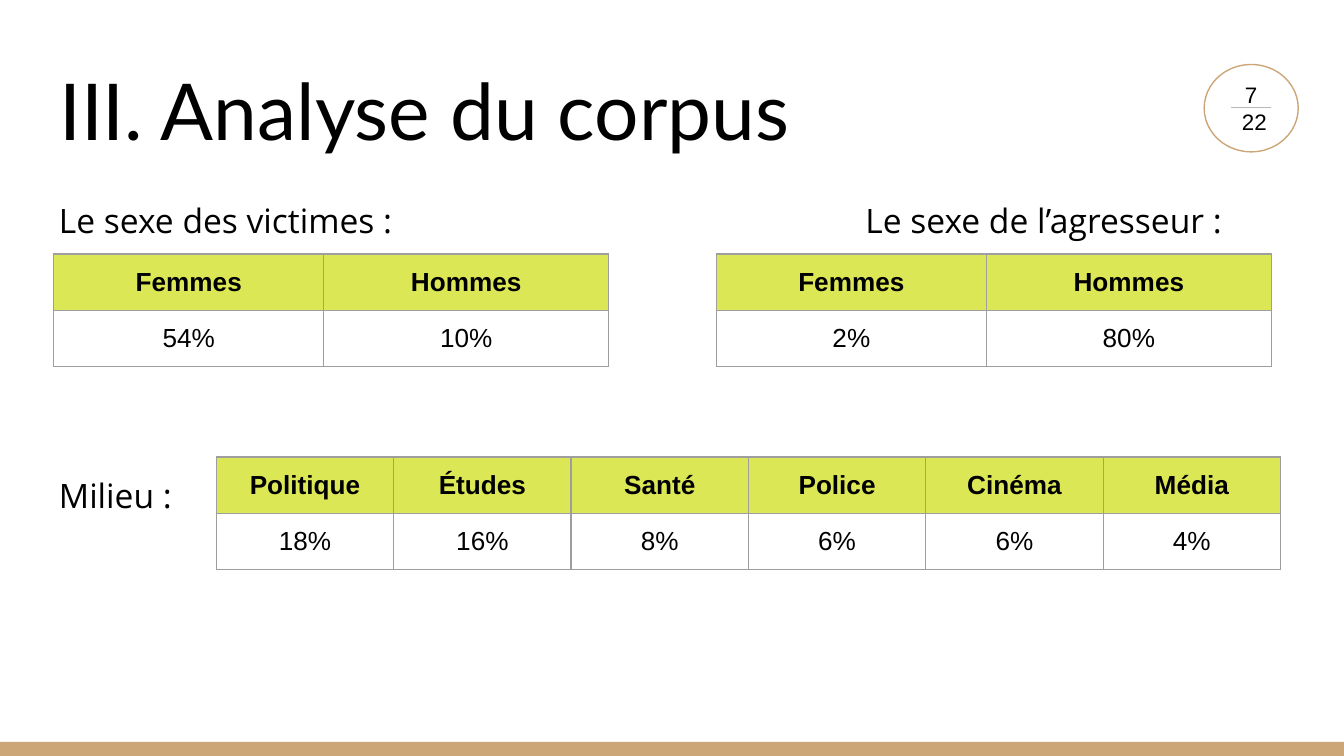
"""Build the corpus analysis slide with its three percentage tables."""
import pptx
import pptx.dml.color
import pptx.enum.shapes
import pptx.enum.text
import pptx.oxml
import pptx.oxml.ns
import pptx.util

Inches = pptx.util.Inches
Pt = pptx.util.Pt
RGBColor = pptx.dml.color.RGBColor
PP_ALIGN = pptx.enum.text.PP_ALIGN
MSO_ANCHOR = pptx.enum.text.MSO_ANCHOR
MSO_SHAPE = pptx.enum.shapes.MSO_SHAPE

BLACK = RGBColor(0x00, 0x00, 0x00)
TAN = RGBColor(0xCC, 0xA6, 0x77)
LIME = RGBColor(0xDC, 0xE7, 0x55)
RULE_GRAY = RGBColor(0xB7, 0xB7, 0xB7)
BORDER_GRAY = RGBColor(0x9E, 0x9E, 0x9E)

TITLE = "III. Analyse du corpus"
PAGE_LINES = ["7", " 22"]
LABELS = [
    ("Le sexe des victimes :", 0.34, 1.34, 3.5),
    ("Le sexe de l’agresseur :", 6.34, 1.34, 3.32),
    ("Milieu :", 0.34, 3.39, 1.25),
]
TABLES = [
    {"left": 0.4, "top": 1.89, "columns": [2.01, 2.12],
     "rows": [["Femmes", "Hommes"], ["54%", "10%"]]},
    {"left": 5.33, "top": 1.89, "columns": [2.01, 2.12],
     "rows": [["Femmes", "Hommes"], ["2%", "80%"]]},
    {"left": 1.61, "top": 3.4, "columns": [1.32] * 6,
     "rows": [["Politique", "Études", "Santé", "Police", "Cinéma", "Média"],
              ["18%", "16%", "8%", "6%", "6%", "4%"]]},
]
SLIDE_WIDTH = 10
ROW_HEIGHT = 0.42


def set_margins(holder, bottom=0.1):
    holder.margin_left = holder.margin_right = holder.margin_top = Inches(0.1)
    holder.margin_bottom = Inches(bottom)


def format_paragraph(paragraph, font_name, size, alignment, bold=False):
    paragraph.alignment = alignment
    paragraph.font.name = font_name
    paragraph.font.size = Pt(size)
    paragraph.font.bold = bold
    paragraph.font.color.rgb = BLACK


def add_borders(cell):
    properties = cell._tc.get_or_add_tcPr()
    for index, side in enumerate(("lnL", "lnR", "lnT", "lnB")):
        properties.insert(index, pptx.oxml.parse_xml(
            f'<a:{side} {pptx.oxml.ns.nsdecls("a")} w="{Pt(0.75)}"><a:solidFill>'
            f'<a:srgbClr val="{BORDER_GRAY}"/></a:solidFill></a:{side}>'))


def add_title(slide):
    title = slide.shapes.title
    title.left, title.top = Inches(0.34), Inches(0.35)
    title.width, title.height = Inches(9.32), Inches(0.91)
    frame = title.text_frame
    frame.text = TITLE
    frame.auto_size = pptx.enum.text.MSO_AUTO_SIZE.NONE
    frame.vertical_anchor = MSO_ANCHOR.BOTTOM
    set_margins(frame)
    format_paragraph(frame.paragraphs[0], "Lato", 42, PP_ALIGN.LEFT)


def add_footer_bar(slide):
    bar = slide.shapes.add_shape(
        MSO_SHAPE.RECTANGLE, 0, Inches(5.52), Inches(SLIDE_WIDTH), Inches(0.11))
    bar.shadow.inherit = False
    bar.fill.solid()
    bar.fill.fore_color.rgb = TAN
    bar.line.fill.background()


def add_label(slide, text, left, top, width):
    label = slide.shapes.add_textbox(
        Inches(left), Inches(top), Inches(width), Inches(0.59))
    frame = label.text_frame
    frame.word_wrap = True
    frame.text = text
    set_margins(frame)
    paragraph = frame.paragraphs[0]
    paragraph.line_spacing = 1.15
    format_paragraph(paragraph, "Open Sans", 18, PP_ALIGN.LEFT)


def add_page_badge(slide):
    badge = slide.shapes.add_shape(
        MSO_SHAPE.OVAL, Inches(8.96), Inches(0.48), Inches(0.7), Inches(0.65))
    badge.shadow.inherit = False
    badge.fill.background()
    badge.line.color.rgb = TAN
    badge.line.width = Pt(0.75)
    frame = badge.text_frame
    frame.text = "\n".join(PAGE_LINES)
    frame.vertical_anchor = MSO_ANCHOR.MIDDLE
    set_margins(frame)
    for paragraph in frame.paragraphs:
        format_paragraph(paragraph, "Arial", 12, PP_ALIGN.CENTER)
    rule = slide.shapes.add_connector(
        pptx.enum.shapes.MSO_CONNECTOR.STRAIGHT,
        Inches(9.46), Inches(0.8), Inches(9.16), Inches(0.8))
    rule.line.color.rgb = RULE_GRAY
    rule.line.width = Pt(0.75)
    rule._element.spPr.append(pptx.oxml.parse_xml(
        f'<a:effectLst {pptx.oxml.ns.nsdecls("a")}/>'))


def add_percentage_table(slide, left, top, columns, rows):
    table = slide.shapes.add_table(
        len(rows), len(columns), Inches(left), Inches(top),
        Inches(sum(columns)), Inches(ROW_HEIGHT * len(rows))).table
    table.first_row = table.horz_banding = False
    for column, width in zip(table.columns, columns):
        column.width = Inches(width)
    for row_index, values in enumerate(rows):
        table.rows[row_index].height = Inches(ROW_HEIGHT)
        is_header = row_index == 0
        for column_index, value in enumerate(values):
            cell = table.cell(row_index, column_index)
            cell.text = value
            set_margins(cell, bottom=0.08)
            if is_header:
                cell.fill.solid()
                cell.fill.fore_color.rgb = LIME
            else:
                cell.fill.background()
            add_borders(cell)
            format_paragraph(cell.text_frame.paragraphs[0],
                             "Arial", 14, PP_ALIGN.CENTER, is_header)


def main():
    presentation = pptx.Presentation()
    presentation.slide_width = Inches(SLIDE_WIDTH)
    presentation.slide_height = Inches(SLIDE_WIDTH * 9 / 16)
    slide = presentation.slides.add_slide(presentation.slide_layouts[5])
    add_footer_bar(slide)
    add_title(slide)
    for label in LABELS:
        add_label(slide, *label)
    add_page_badge(slide)
    for table in TABLES:
        add_percentage_table(slide, **table)
    presentation.save("out.pptx")


if __name__ == "__main__":
    main()
